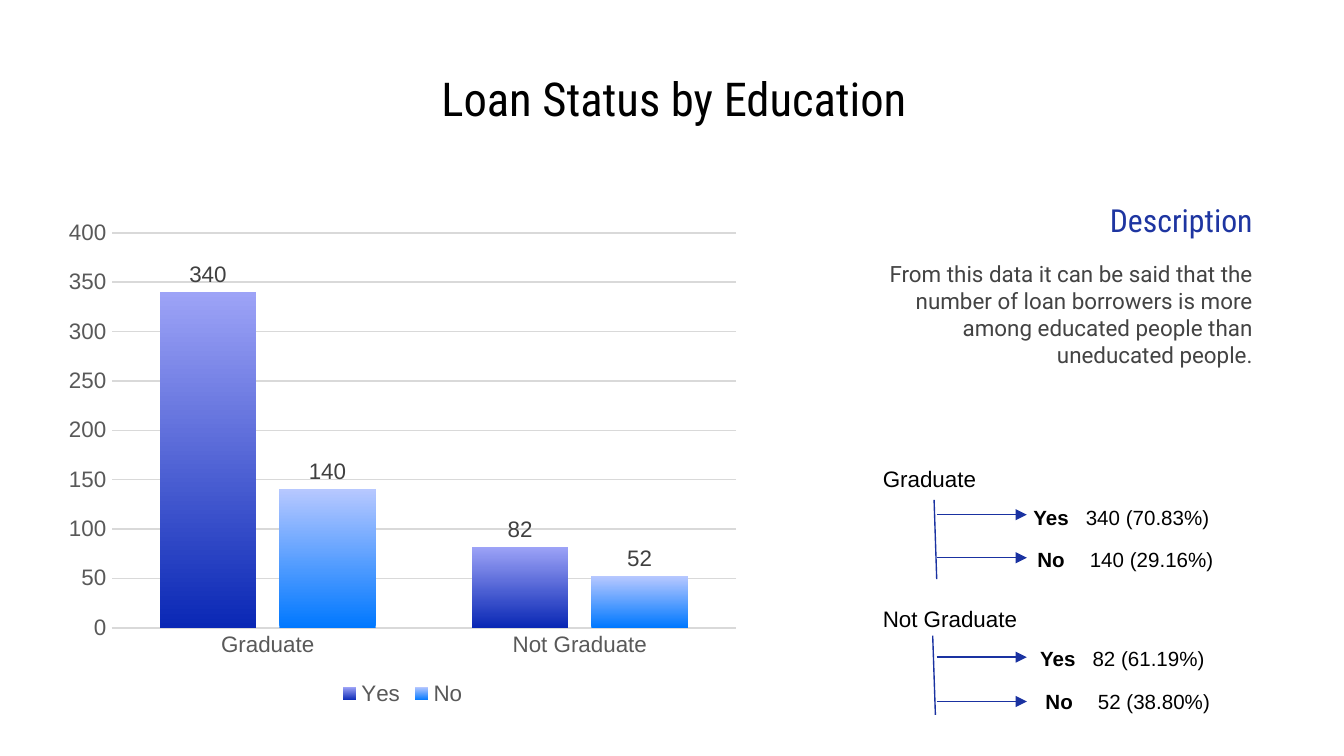
"""Build the loan status by education slide with its chart and breakdown."""
from lxml import etree
from pptx import Presentation
from pptx import util as u
from pptx.chart.data import CategoryChartData
from pptx.dml.color import RGBColor
from pptx.enum import chart as charts, shapes, text
from pptx.oxml.ns import qn

NAVY = "1A32A1"
TAB = 0.39


def add_text(place, words, size, font="Arial", color="000000", align=text.PP_ALIGN.LEFT, inset=0.05, wrap=True):
    box = page.shapes.add_textbox(*[u.Inches(length) for length in place])
    frame = box.text_frame
    frame.word_wrap = wrap
    frame.margin_top = frame.margin_bottom = u.Inches(inset)
    frame.vertical_anchor = text.MSO_ANCHOR.TOP if inset == 0.05 else text.MSO_ANCHOR.MIDDLE
    para = frame.paragraphs[0]
    para.alignment = align
    for number, part in enumerate(words):
        span = para.add_run()
        span.text = part
        span.font.size = u.Pt(size)
        span.font.name = font
        span.font.bold = len(words) > 1 and number == 0
        span.font.color.rgb = RGBColor.from_string(color)
    return para


def add_line(start, end, arrow=False):
    line = page.shapes.add_connector(shapes.MSO_CONNECTOR.STRAIGHT, *[u.Inches(v) for v in start + end])
    line.line.color.rgb = RGBColor.from_string(NAVY)
    line.line.width = u.Pt(0.75)
    if arrow:
        etree.SubElement(line.line._get_or_add_ln(), qn("a:tailEnd"), type="triangle")
    etree.SubElement(line._element.spPr, qn("a:effectLst"))


deck = Presentation()
deck.slide_width = u.Inches(10)
deck.slide_height = u.Inches(10 * 9 / 16)
page = deck.slides.add_slide(deck.slide_layouts[6])

add_text((0.53, 0.46, 8.97, 0.53), ["Loan Status by Education"], 25, "Roboto Condensed",
         align=text.PP_ALIGN.CENTER, inset=0.1)
add_text((6.17, 1.49, 3.25, 0.29), ["Description"], 17, "Roboto Condensed", "1E35A1",
         text.PP_ALIGN.RIGHT, 0.1)
add_text((6.17, 1.77, 3.25, 1.13),
         ["From this data it can be said that the number of loan borrowers is more "
          "among educated people than uneducated people."],
         12, "Roboto", "434343", text.PP_ALIGN.RIGHT, 0.1)

data = CategoryChartData()
data.categories = ["Graduate", "Not Graduate"]
data.add_series("Yes", (340, 82))
data.add_series("No", (140, 52))
chart = page.shapes.add_chart(charts.XL_CHART_TYPE.COLUMN_CLUSTERED, u.Inches(0.41), u.Inches(1.57),
                              u.Inches(5.17), u.Inches(3.72), data).chart
chart.has_title = False
chart.font.size = u.Pt(12)
chart.font.name = "Arial"
chart.font.color.rgb = RGBColor.from_string("595959")
chart.has_legend = True
chart.legend.position = charts.XL_LEGEND_POSITION.BOTTOM
chart.legend.include_in_layout = False

for axis in (chart.category_axis, chart.value_axis):
    axis.major_tick_mark = axis.minor_tick_mark = charts.XL_TICK_MARK.NONE
chart.category_axis.format.line.color.rgb = RGBColor.from_string("D9D9D9")
chart.category_axis.format.line.width = u.Pt(1)
values = chart.value_axis
values.minimum_scale, values.maximum_scale, values.major_unit = 0, 400, 50
values.format.line.fill.background()
values.major_gridlines.format.line.color.rgb = RGBColor.from_string("D9D9D9")
values.major_gridlines.format.line.width = u.Pt(0.75)

plot = chart.plots[0]
plot.vary_by_categories = False
plot.gap_width = 100
plot.overlap = -24
for series, colors in zip(plot.series, (("0A28B5", "9DA3F7"), ("0078FF", "B7C8FF"))):
    fill = series.format.fill
    fill.gradient()
    fill.gradient_angle = 90
    for stop, color in zip(fill.gradient_stops, colors):
        stop.color.rgb = RGBColor.from_string(color)
    labels = series.data_labels
    labels.show_value = True
    labels.position = charts.XL_LABEL_POSITION.OUTSIDE_END
    labels.font.size = u.Pt(12)
    labels.font.name = "Arial"
    labels.font.color.rgb = RGBColor.from_string("404040")

groups = [
    ("Graduate", 3.41, 1.17, (6.95, 3.72), (6.97, 4.31),
     [("Yes", "340 (70.83%)", 7.59, 3.71, 3.83), ("No", "140 (29.16%)", 7.62, 4.02, 4.15)]),
    ("Not Graduate", 4.45, 1.4, (6.94, 4.73), (6.96, 5.32),
     [("Yes", "82 (61.19%)", 7.64, 4.76, 4.89), ("No", "52 (38.80%)", 7.68, 5.08, 5.22)]),
]
for heading, top, width, stem_start, stem_end, answers in groups:
    add_text((6.47, top, width, 0.3), [heading], 12)
    add_line(stem_start, stem_end)
    for answer, share, left, answer_top, arrow_y in answers:
        add_line((6.97, arrow_y), (7.64, arrow_y), arrow=True)
        para = add_text((left, answer_top, 1.95, 0.29), [answer, "\t" + share], 11)
        tabs = etree.SubElement(para._p.get_or_add_pPr(), qn("a:tabLst"))
        etree.SubElement(tabs, qn("a:tab"), pos=str(u.Inches(TAB)), algn="l")

deck.save("out.pptx")
